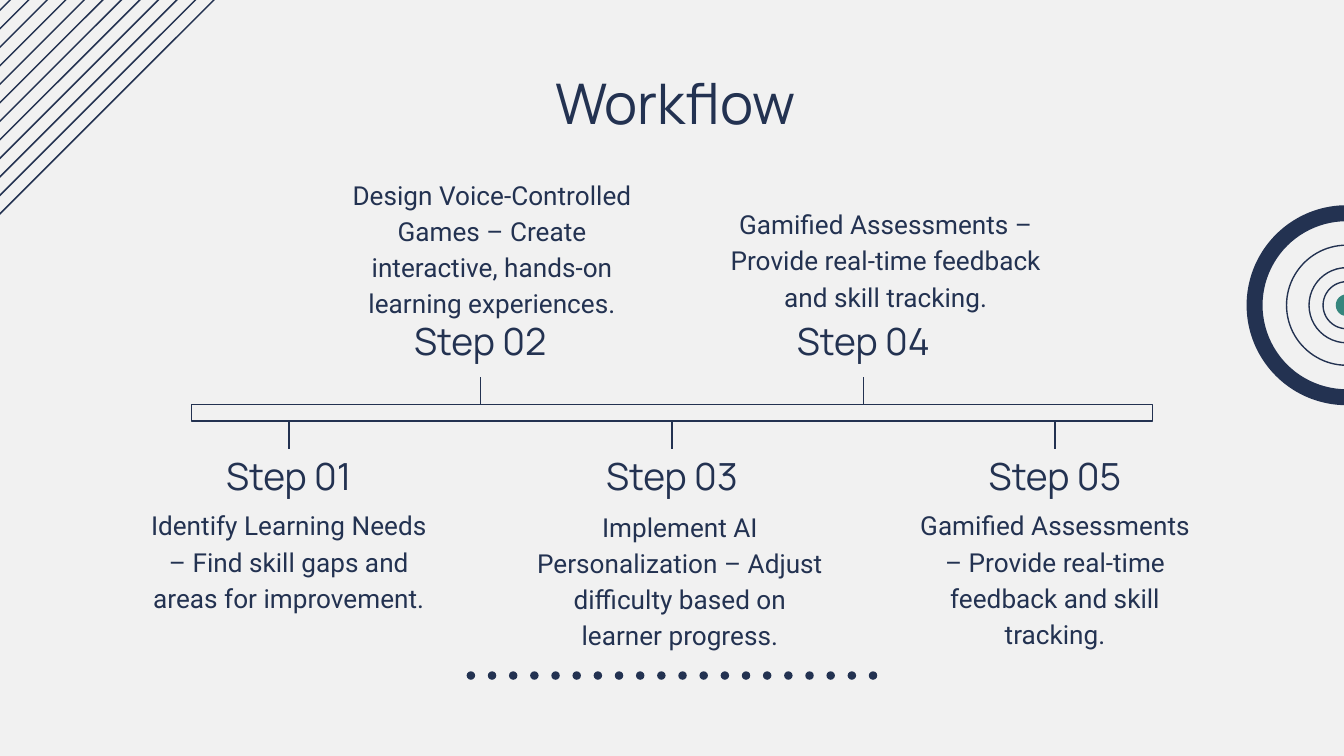
import pptx
import pptx.dml.color
import pptx.enum.shapes
import pptx.enum.text
import pptx.oxml.ns
import pptx.util
from lxml import etree
from pptx.util import Cm, Pt

NAVY = pptx.dml.color.RGBColor(0x23, 0x32, 0x51)
TEAL = pptx.dml.color.RGBColor(0x36, 0x86, 0x7D)
PAPER = pptx.dml.color.RGBColor(0xF1, 0xF1, 0xF1)
HEADING_FONT = "Manrope"
BODY_FONT = "Roboto"
SHAPES = pptx.enum.shapes.MSO_SHAPE
ANCHOR = pptx.enum.text.MSO_ANCHOR

# label, description, shift of description from tick, its top, width and height (cm)
STEPS = [
    ("Step 01", "Identify Learning Needs – Find skill gaps and areas for improvement.",
     0, 6.25, 5.94, 2.36),
    ("Step 02", "Design Voice-Controlled Games – Create interactive, hands-on "
     "learning experiences.", 0.22, 0, 6.4, 3.02),
    ("Step 03", "Implement AI Personalization – Adjust difficulty based on "
     "learner progress.", 0.15, 6.27, 5.94, 3.02),
    ("Step 04", "Gamified Assessments – Provide real-time feedback and skill tracking.",
     0.42, 0.56, 6.4, 2.29),
    ("Step 05", "Gamified Assessments – Provide real-time feedback and skill tracking.",
     0, 6.25, 5.94, 3.23),
]


def add_line(slide, x1, y1, x2, y2, width=0.75):
    line = slide.shapes.add_connector(
        pptx.enum.shapes.MSO_CONNECTOR.STRAIGHT, Cm(x1), Cm(y1), Cm(x2), Cm(y2))
    line.line.color.rgb = NAVY
    line.line.width = Pt(width)
    etree.SubElement(line._element.spPr, pptx.oxml.ns.qn("a:effectLst"))
    return line


def add_outline_or_solid(slide, kind, left, top, width, height, fill=None):
    """Add a shape filled without a line, or outlined when no fill is given."""
    shape = slide.shapes.add_shape(kind, Cm(left), Cm(top), Cm(width), Cm(height))
    shape.shadow.inherit = False
    if fill is None:
        shape.fill.background()
        shape.line.color.rgb = NAVY
        shape.line.width = Pt(0.75)
    else:
        shape.fill.solid()
        shape.fill.fore_color.rgb = fill
        shape.line.fill.background()
    return shape


def write_text(shape, text, font, size, anchor=ANCHOR.TOP, spacing=1.0):
    frame = shape.text_frame
    frame.word_wrap = True
    frame.auto_size = pptx.enum.text.MSO_AUTO_SIZE.NONE
    frame.vertical_anchor = anchor
    frame.margin_left = frame.margin_right = Cm(0.25)
    frame.margin_top = frame.margin_bottom = Cm(0.25)
    frame.text = text
    paragraph = frame.paragraphs[0]
    paragraph.alignment = pptx.enum.text.PP_ALIGN.CENTER
    paragraph.line_spacing = spacing
    paragraph.font.name = font
    paragraph.font.size = Pt(size)
    paragraph.font.color.rgb = NAVY


def add_centred_text(slide, centre, top, width, height, *text_format, **options):
    box = slide.shapes.add_textbox(Cm(centre - width / 2), Cm(top), Cm(width), Cm(height))
    write_text(box, *text_format, **options)


def add_title(slide, left, top, width, height):
    title = slide.shapes.title
    title.left, title.top = Cm(left), Cm(top)
    title.width, title.height = Cm(width), Cm(height)
    write_text(title, "Workflow", HEADING_FONT, 30)


def add_corner_stripes(slide, left, top, width, height, count=12):
    """Draw diagonals across a square area, each one shifted left of the last."""
    for index in range(count):
        x = left - 0.35 * index
        add_line(slide, x, top + height, x + width, top, 0.78)


def add_dot_row(slide, left, top, width, diameter, count=20):
    pitch = (width - diameter) / (count - 1)
    for index in range(count):
        add_outline_or_solid(slide, SHAPES.OVAL, left + pitch * index, top,
                             diameter, diameter, NAVY)


def add_target(slide, left, top, diameter):
    centre_x, centre_y = left + diameter / 2, top + diameter / 2
    for size, fill in [(2.27, None), (1.42, None), (0.89, None), (0.41, TEAL)]:
        add_outline_or_solid(slide, SHAPES.OVAL, centre_x - size / 2,
                             centre_y - size / 2, size, size, fill)
    ring = add_outline_or_solid(slide, SHAPES.DONUT, left, top, diameter, diameter, NAVY)
    ring.adjustments[0] = 0.08


def add_timeline(slide, left, top, width):
    """Place a bar with steps alternating below and above it."""
    bar_top, bar_height, tick_length = top + 4.6, 0.31, 0.52
    bar_bottom = bar_top + bar_height
    bar = add_outline_or_solid(slide, SHAPES.RECTANGLE, left, bar_top, width, bar_height)
    middle = len(STEPS) // 2
    for index, (label, description, shift, body_top, body_width, body_height) in enumerate(STEPS):
        centre = left + width / 2 + 3.62 * (index - middle)
        if index % 2:
            label_top = top + 2.89
            add_line(slide, centre, bar_top - tick_length, centre, bar_top)
        else:
            label_top = top + 5.43
            tick = add_line(slide, centre, bar_bottom + tick_length, centre, bar_bottom)
            if index == middle:
                tick.end_connect(bar, 2)
        add_centred_text(slide, centre, label_top, 5.94, 1.18, label, HEADING_FONT, 20,
                         anchor=ANCHOR.BOTTOM)
        add_centred_text(slide, centre + shift, top + body_top, body_width, body_height,
                         description, BODY_FONT, 14, spacing=1.15)


def main():
    presentation = pptx.Presentation()
    presentation.slide_width, presentation.slide_height = Cm(25.4), Cm(14.29)
    slide = presentation.slides.add_slide(presentation.slide_layouts[5])
    slide.background.fill.solid()
    slide.background.fill.fore_color.rgb = PAPER
    add_corner_stripes(slide, -0.1, -1.4, 5.54, 5.54)
    add_dot_row(slide, 8.82, 12.69, 7.76, 0.16)
    add_target(slide, 23.56, 3.88, 3.78)
    add_title(slide, 2.49, 1.04, 20.55, 1.6)
    add_timeline(slide, 3.62, 3.05, 18.16)
    presentation.save("out.pptx")


if __name__ == "__main__":
    main()
